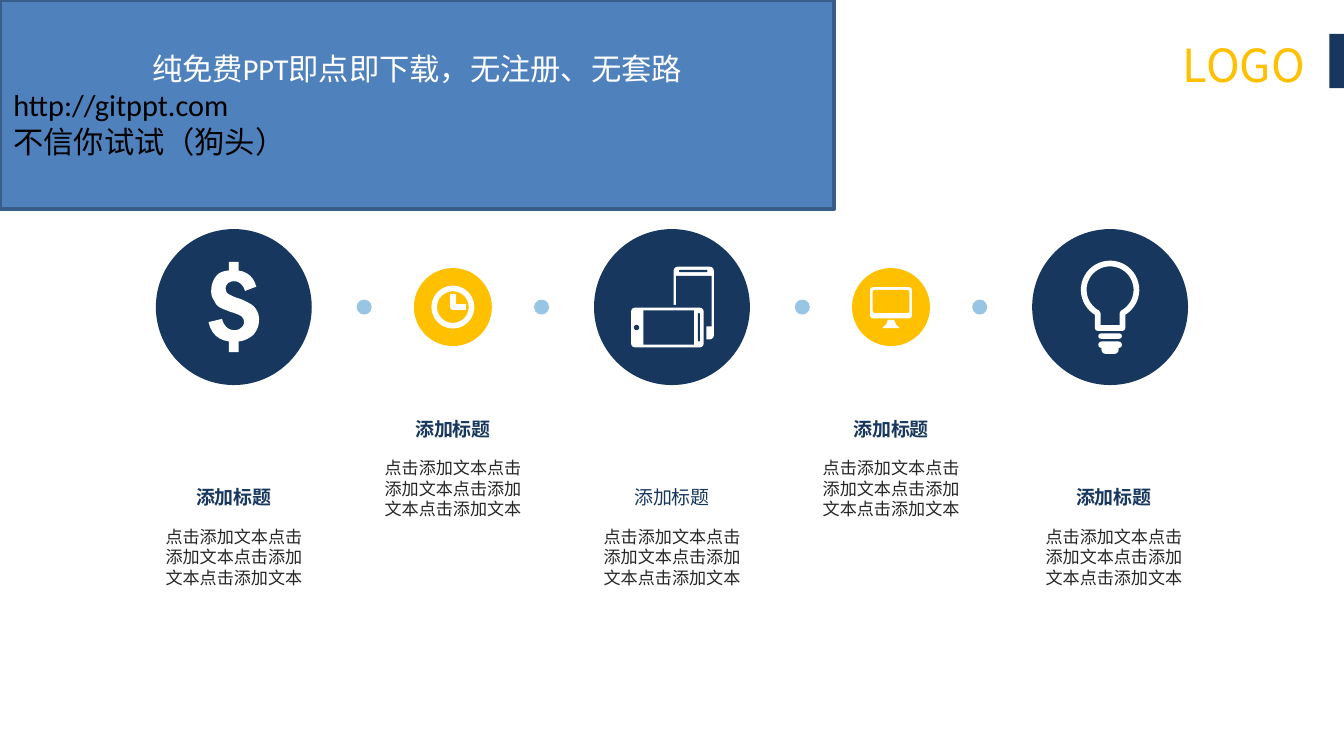
from dataclasses import dataclass
from math import asin, cos, pi, sin

from lxml.etree import SubElement
from pptx import Presentation
from pptx.dml.color import RGBColor
from pptx.enum.shapes import MSO_SHAPE as Preset
from pptx.enum.text import MSO_ANCHOR as Anchor, PP_ALIGN as Align
from pptx.oxml.ns import qn
from pptx.util import Cm, Pt


@dataclass(frozen=True)
class Theme:
    navy: str = "17375E"
    amber: str = "FFC000"
    dot: str = "0070C0"
    banner: str = "4F81BD"
    banner_edge: str = "385D8A"
    white: str = "FFFFFF"
    black: str = "000000"
    body: str = "262626"
    chinese: str = "Noto Sans CJK SC"
    latin: str = "Calibri"
    logo_size: int = 24
    banner_size: int = 16
    title_size: int = 10
    body_size: int = 9


THEME = Theme()
MIDDLE_X, ROW_Y, STEP = 12.5, 5.71, 8.15
BIG, SMALL, DOT = 2.9, 1.45, 0.28

# Two numbers are a line end, six are a Bezier curve; cm from the circle's centre.
DOLLAR = [
    (0.42, 0.05),
    (0.45, 0.1, 0.47, 0.16, 0.47, 0.23), (0.47, 0.36, 0.43, 0.43, 0.37, 0.51),
    (0.29, 0.58, 0.2, 0.63, 0.09, 0.64), (0.09, 0.84), (-0.09, 0.84), (-0.09, 0.64),
    (-0.29, 0.61, -0.42, 0.5, -0.47, 0.28), (-0.22, 0.22),
    (-0.18, 0.36, -0.1, 0.43, 0.01, 0.43), (0.07, 0.43, 0.11, 0.41, 0.14, 0.38),
    (0.17, 0.36, 0.19, 0.32, 0.19, 0.28), (0.19, 0.23, 0.17, 0.2, 0.14, 0.17),
    (0.11, 0.15, 0.04, 0.12, -0.06, 0.09), (-0.14, 0.06, -0.22, 0.03, -0.27, 0),
    (-0.32, -0.03, -0.35, -0.08, -0.37, -0.13), (-0.41, -0.18, -0.42, -0.24, -0.42, -0.3),
    (-0.42, -0.41, -0.39, -0.49, -0.34, -0.56), (-0.29, -0.64, -0.2, -0.67, -0.09, -0.68),
    (-0.09, -0.84), (0.09, -0.84), (0.09, -0.68),
    (0.27, -0.65, 0.37, -0.55, 0.42, -0.38), (0.21, -0.3),
    (0.17, -0.42, 0.1, -0.48, 0.01, -0.48), (-0.04, -0.48, -0.07, -0.47, -0.11, -0.44),
    (-0.14, -0.41, -0.15, -0.38, -0.15, -0.35), (-0.15, -0.31, -0.14, -0.27, -0.11, -0.25),
    (-0.08, -0.23, -0.02, -0.2, 0.06, -0.17), (0.17, -0.14, 0.24, -0.1, 0.29, -0.07),
    (0.35, -0.04, 0.39, 0, 0.42, 0.05),
]


def rgb(color):
    return RGBColor.from_string(color)


def paint(shape, fill=None, line=None, width=0):
    shape.shadow.inherit = False
    if fill:
        shape.fill.solid()
        shape.fill.fore_color.rgb = rgb(fill)
    else:
        shape.fill.background()
    if line:
        shape.line.color.rgb = rgb(line)
        shape.line.width = Pt(width)
    else:
        shape.line.fill.background()


def add_preset(slide, kind, left, top, width, height, fill, adjust=None):
    shape = slide.shapes.add_shape(kind, Cm(left), Cm(top), Cm(width), Cm(height))
    if adjust is not None:
        shape.adjustments[0] = adjust
    paint(shape, fill)
    return shape


def add_circle(slide, x, y, size, fill):
    return add_preset(slide, Preset.OVAL, x - size / 2, y - size / 2, size, size, fill)


def add_rounded(slide, x, left, top, width, height, fill, adjust=0.1):
    """Place a rounded icon part by its offset from the circle's centre."""
    add_preset(slide, Preset.ROUNDED_RECTANGLE, x + left, ROW_Y + top, width, height, fill, adjust)


def flatten(outline, steps=6):
    points = [outline[0]]
    for segment in outline[1:]:
        if len(segment) == 2:
            points.append(segment)
            continue
        (x0, y0), (x1, y1, x2, y2, x3, y3) = points[-1], segment
        for t in (step / steps for step in range(1, steps + 1)):
            a, b, c, d = (1 - t) ** 3, 3 * t * (1 - t) ** 2, 3 * t * t * (1 - t), t ** 3
            points.append((a * x0 + b * x1 + c * x2 + d * x3, a * y0 + b * y1 + c * y2 + d * y3))
    return points


def add_outline(slide, x, outline, closed=True, **style):
    points = [(Cm(x + dx), Cm(ROW_Y + dy)) for dx, dy in flatten(outline)]
    builder = slide.shapes.build_freeform(*points[0])
    builder.add_line_segments(points[1:], close=closed)
    paint(builder.convert_to_shape(), **style)


def add_run(paragraph, text, size, color, font=THEME.chinese, bold=False):
    run = paragraph.add_run()
    run.text = text
    run.font.size, run.font.bold, run.font.name = Pt(size), bold, font
    run.font.color.rgb = rgb(color)
    SubElement(run.font._element, qn("a:ea"), typeface=THEME.chinese)


def add_text(slide, left, top, width, height, text, size, color,
             bold=False, align=Align.CENTER, anchor=Anchor.TOP, spacing=1.0, inset=(0.25, 0.13)):
    frame = slide.shapes.add_textbox(Cm(left), Cm(top), Cm(width), Cm(height)).text_frame
    frame.word_wrap, frame.vertical_anchor = True, anchor
    frame.margin_left = frame.margin_right = Cm(inset[0])
    frame.margin_top = frame.margin_bottom = Cm(inset[1])
    paragraph = frame.paragraphs[0]
    paragraph.alignment, paragraph.line_spacing = align, spacing
    add_run(paragraph, text, size, color, bold=bold)


def add_dollar(slide, x):
    add_outline(slide, x, DOLLAR, fill=THEME.white)


def add_clock(slide, x):
    add_preset(slide, Preset.DONUT, x - 0.4, ROW_Y - 0.4, 0.8, 0.8, THEME.white, 0.13)
    hands = [(0, -0.25), (0, 0), (0.25, 0)]
    add_outline(slide, x, hands, closed=False, line=THEME.white, width=3)


def add_phones(slide, x):
    add_rounded(slide, x, 0.03, -0.75, 0.75, 1.35, THEME.white)
    add_rounded(slide, x, 0.08, -0.58, 0.66, 0.94, THEME.navy, 0)
    add_rounded(slide, x, 0.13, -0.69, 0.53, 0.04, THEME.navy, 0.5)
    add_rounded(slide, x, 0, -0.04, 0.64, 0.66, THEME.navy, 0)
    add_rounded(slide, x, -0.76, 0.01, 1.35, 0.74, THEME.white)
    add_rounded(slide, x, -0.53, 0.06, 0.94, 0.64, THEME.navy, 0)
    add_rounded(slide, x, 0.48, 0.11, 0.04, 0.53, THEME.navy, 0.5)
    add_circle(slide, x - 0.66, ROW_Y + 0.38, 0.1, THEME.navy)


def add_monitor(slide, x):
    add_rounded(slide, x, -0.39, -0.37, 0.78, 0.58, THEME.white)
    add_rounded(slide, x, -0.34, -0.32, 0.68, 0.43, THEME.amber)
    stand = [(-0.06, 0.24), (0.06, 0.24), (0.09, 0.32), (0.16, 0.39), (-0.16, 0.39), (-0.09, 0.32)]
    add_outline(slide, x, stand, fill=THEME.white)


def add_bulb(slide, x):
    radius, neck, bottom, steps = 0.49, 0.23, 0.39, 40
    gap = asin(neck / radius)
    angles = [gap + (2 * pi - 2 * gap) * step / steps for step in range(steps + 1)]
    glass = [(radius * sin(angle), radius * cos(angle) - 0.32) for angle in angles]
    add_outline(slide, x, glass + [(-neck, bottom), (neck, bottom)], line=THEME.white, width=3)
    add_rounded(slide, x, -0.22, 0.49, 0.44, 0.1, THEME.white, 0.5)
    add_rounded(slide, x, -0.22, 0.64, 0.44, 0.12, THEME.white, 0.5)
    add_rounded(slide, x, -0.16, 0.68, 0.32, 0.19, THEME.white, 0.4)


def add_dot(slide, x):
    dot = add_circle(slide, x, ROW_Y, DOT, THEME.dot)
    color = dot.fill._xPr.find(qn("a:solidFill"))[0]
    SubElement(color, qn("a:alpha"), val="40000")


def add_caption(slide, x, top, bold):
    width = 3.35
    add_text(slide, x - width / 2, top, width, 0.89, "添加标题", THEME.title_size, THEME.navy,
             bold=bold, anchor=Anchor.MIDDLE, spacing=1.5)
    add_text(slide, x - width / 2, top + 0.96, width, 1.4, "点击添加文本" * 4,
             THEME.body_size, THEME.body)


def add_banner(slide):
    banner = add_preset(slide, Preset.RECTANGLE, 0, 0, 15.52, 3.89, THEME.banner)
    paint(banner, THEME.banner, THEME.banner_edge, 2)
    frame = banner.text_frame
    frame.word_wrap, frame.vertical_anchor = True, Anchor.MIDDLE
    lines = [("纯免费PPT即点即下载，无注册、无套路", THEME.white, Align.CENTER),
             ("http://gitppt.com", THEME.black, Align.LEFT),
             ("不信你试试（狗头）", THEME.black, Align.LEFT)]
    for index, (text, color, align) in enumerate(lines):
        paragraph = frame.add_paragraph() if index else frame.paragraphs[0]
        paragraph.alignment = align
        add_run(paragraph, text, THEME.banner_size, color, THEME.latin)


def main():
    presentation = Presentation()
    presentation.slide_width, presentation.slide_height = Cm(25), Cm(14)
    slide = presentation.slides.add_slide(presentation.slide_layouts[6])

    icons = [add_dollar, add_clock, add_phones, add_monitor, add_bulb]
    for index, add_icon in enumerate(icons):
        x = MIDDLE_X + STEP * (index - 2) / 2
        small = index % 2 == 1
        add_circle(slide, x, ROW_Y, SMALL if small else BIG, THEME.amber if small else THEME.navy)
        if small:
            for offset in (-1.65, 1.65):
                add_dot(slide, x + offset)
        add_icon(slide, x)
        caption_x = x + 0.07 if add_icon is add_bulb else x
        add_caption(slide, caption_x, 7.42 if small else 8.69, bold=add_icon is not add_phones)

    add_text(slide, 21.82, 0.58, 3.3, 1.19, "LOGO", THEME.logo_size, THEME.amber,
             align=Align.LEFT, inset=(0.18, 0.1))
    add_preset(slide, Preset.RECTANGLE, 24.73, 0.63, 0.27, 1.01, THEME.navy)
    add_banner(slide)
    presentation.save("out.pptx")


if __name__ == "__main__":
    main()
